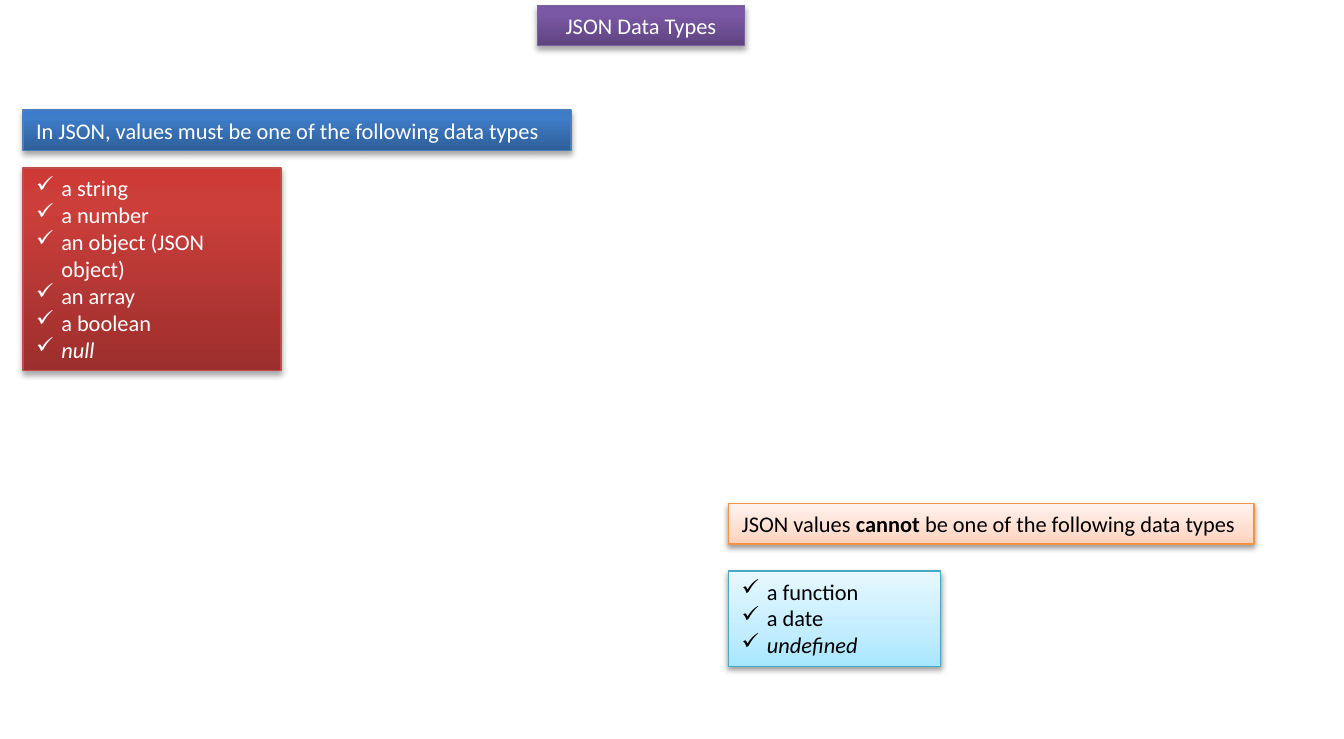
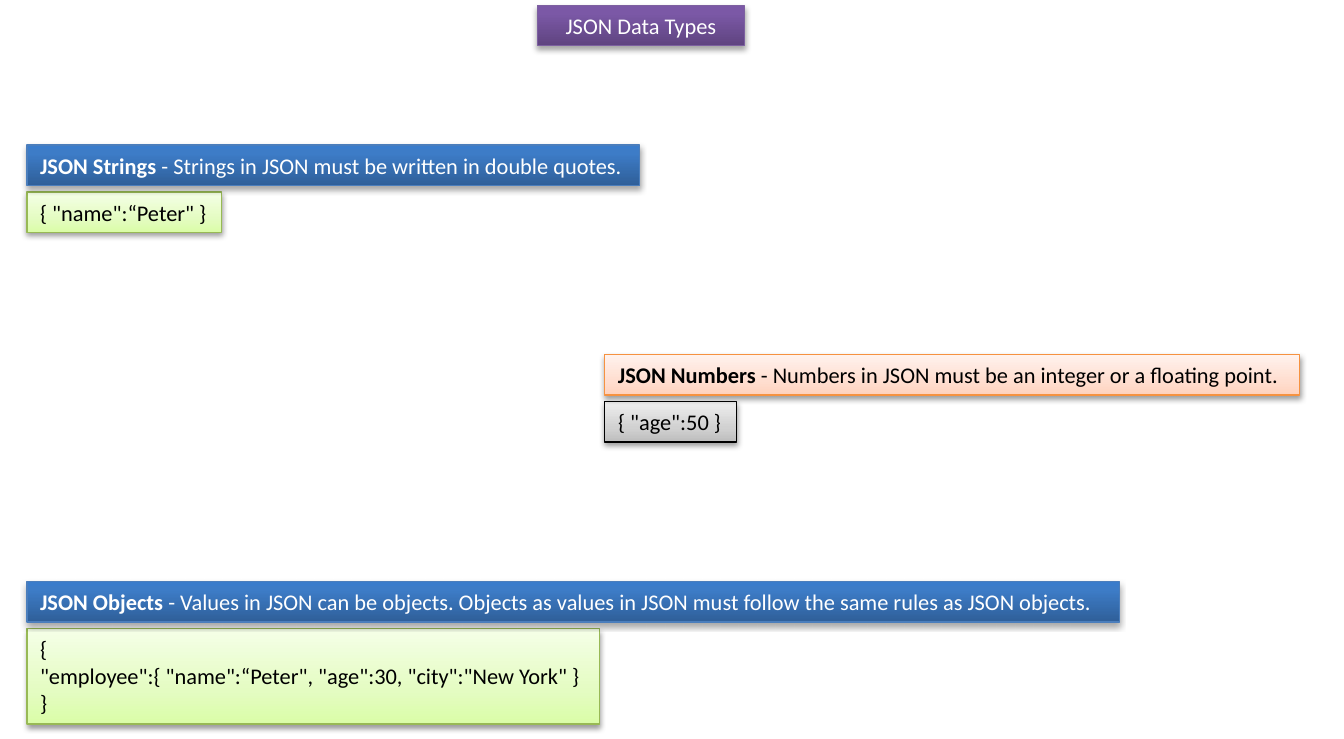
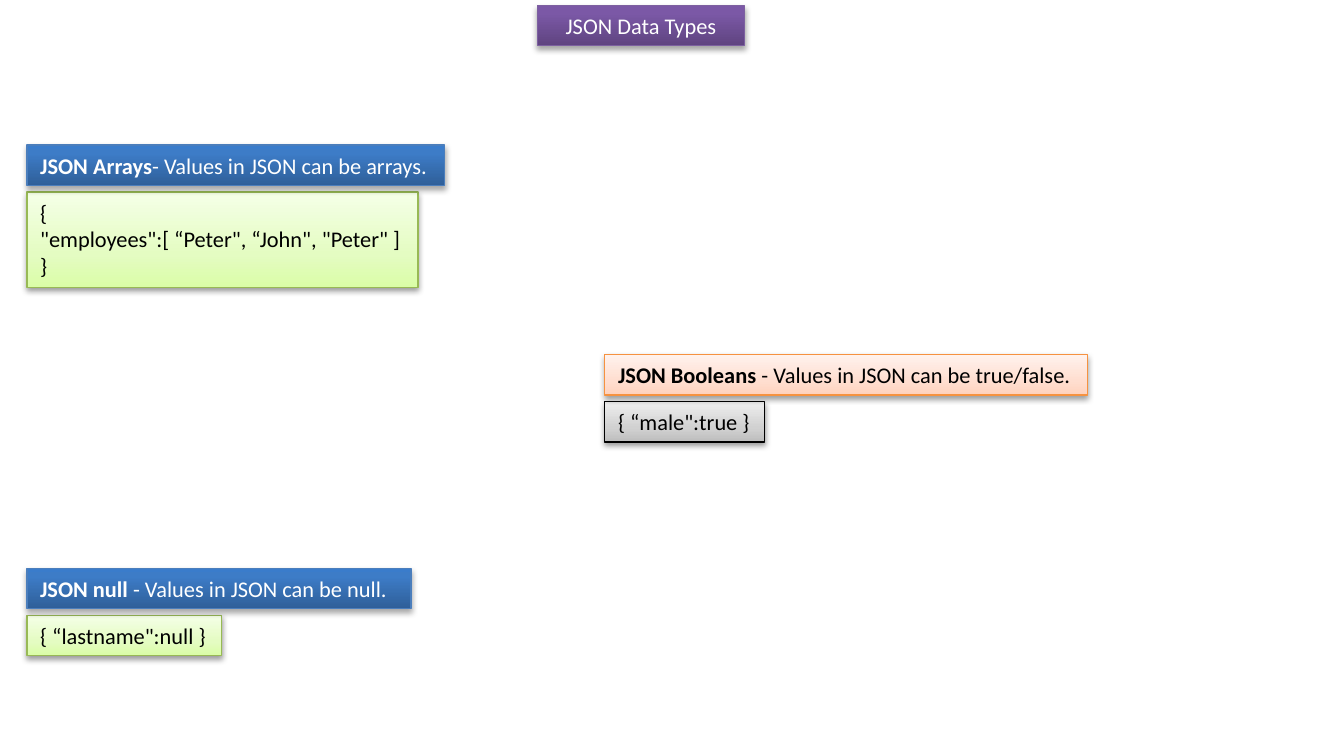
from copy import deepcopy

from lxml import etree
from pptx import Presentation
from pptx import util as u
from pptx.dml.color import RGBColor
from pptx.enum import shapes, text
from pptx.oxml import ns

PX = 9144
ROW = 30
FONT = "Calibri"
COLORS = {"white": "FFFFFF", "black": "000000"}
DARK = {"ink": "white", "middle": 0.8, "alpha": 35000, "drop": 23000}
LIGHT = {"ink": "black", "middle": 0.35, "alpha": 38000, "drop": 20000}
LOOKS = {
    "purple": {"stops": ("5F4480", "7B58A6", "7C57A8"), "line": "7D60A0", **DARK},
    "blue": {"stops": ("2F5F99", "3D7CC7", "3A7CCB"), "line": "4B7EBC", **DARK},
    "red": {"stops": ("9C2F2D", "CB3E3A", "CE3B37"), "line": "BF4C48", **DARK},
    "cyan": {"stops": ("A7E6FF", "C1EDFF", "E7F8FF"), "line": "46AAC5", **LIGHT},
    "orange": {"stops": ("FFD2BD", "FFDED0", "FFF2ED"), "line": "F69240", **LIGHT},
    "green": {"stops": ("DAFDA7", "E4FCC2", "F5FFE7"), "line": "98B955", **LIGHT},
    "gray": {"stops": ("BDBDBD", "D1D1D1", "EEEEEE"), "line": "000000", **LIGHT},
}


def rgb(code):
    return RGBColor.from_string(code)


def add_node(parent, tag, **attributes):
    return etree.SubElement(parent, ns.qn(tag), attributes)


def paint(panel, look):
    panel.line.color.rgb = rgb(look["line"])
    panel.line.width = u.Pt(0.75)
    panel.fill.gradient()
    panel.fill.gradient_angle = 90
    stop_list = panel._element.spPr.find(f".//{ns.qn('a:gsLst')}")
    stop_list.append(deepcopy(stop_list[0]))
    positions = (0, look["middle"], 1)
    for stop, code, position in zip(panel.fill.gradient_stops, look["stops"], positions):
        stop.color.rgb = rgb(code)
        stop.position = position

    panel.shadow.inherit = False
    effects = panel._element.spPr.find(ns.qn("a:effectLst"))
    shadow = add_node(effects, "a:outerShdw", blurRad="40000", dist=str(look["drop"]),
                      dir="5400000", rotWithShape="0")
    color = add_node(shadow, "a:srgbClr", val=COLORS["black"])
    add_node(color, "a:alpha", val=str(look["alpha"]))


def write_spans(para, spans):
    for words, style in spans:
        for index, line in enumerate(words.split("\n")):
            if index:
                para.add_line_break()
            span = para.add_run()
            span.text = line
            if style == "bold":
                span.font.bold = True
            if style == "italic":
                span.font.italic = True


def add_bullet(para):
    properties = para._p.get_or_add_pPr()
    properties.set("marL", "171450")
    properties.set("indent", "-171450")
    add_node(properties, "a:buChar", char="✓")


def add_panel(page, box, look_name, paragraphs, wrap=True, bullets=False,
              align=text.PP_ALIGN.LEFT):
    look = LOOKS[look_name]
    panel = page.shapes.add_shape(shapes.MSO_SHAPE.RECTANGLE, *(side * PX for side in box))
    paint(panel, look)
    frame = panel.text_frame
    frame.word_wrap = wrap
    frame.auto_size = text.MSO_AUTO_SIZE.SHAPE_TO_FIT_TEXT
    frame.vertical_anchor = text.MSO_ANCHOR.TOP
    for index, spans in enumerate(paragraphs):
        para = frame.add_paragraph() if index else frame.paragraphs[0]
        para.alignment = align
        if bullets:
            add_bullet(para)
        write_spans(para, spans)
        para.font.name = FONT
        para.font.size = u.Pt(12)
        para.font.color.rgb = rgb(COLORS[look["ink"]])


def add_page(deck):
    page = deck.slides.add_slide(deck.slide_layouts[6])
    add_panel(page, (400, 4, 154, ROW), "purple", [[("JSON Data Types", "")]],
              align=text.PP_ALIGN.CENTER)
    return page


def add_type_list(page, box, looks, heading, items, list_top, list_width):
    left, top, width, height = box
    add_panel(page, (left, top, width, ROW), looks[0], [heading])
    add_panel(page, (left, top + list_top, list_width, height - list_top), looks[1],
              [[item] for item in items], bullets=True)


def add_rule(page, box, looks, name, rule, code, code_width):
    left, top, width, height = box
    code_top = ROW + 5
    add_panel(page, (left, top + code_top, code_width, height - code_top), looks[1],
              [[(code, "")]], wrap=False)
    add_panel(page, (left, top, width, ROW), looks[0],
              [[(name, "bold"), (rule, "")]], wrap=False)


def add_overview_page(deck):
    page = add_page(deck)
    add_type_list(
        page, (17, 82, 408, 194), ("blue", "red"),
        [("In JSON, values must be one of the following data types", "")],
        [("a string", ""), ("a number", ""), ("an object (JSON object)", ""),
         ("an array", ""), ("a boolean", ""), ("null", "italic")], 43, 192)
    add_type_list(
        page, (542, 375, 391, 121), ("orange", "cyan"),
        [("JSON values ", ""), ("cannot ", "bold"),
         ("be one of the following data types", "")],
        [("a function", ""), ("a date", ""), ("undefined", "italic")], 50, 158)


def add_rules_page(deck, rules):
    page = add_page(deck)
    for rule in rules:
        add_rule(page, *rule)


def main():
    deck = Presentation()
    deck.slide_width, deck.slide_height = 1000 * PX, 550 * PX
    left_looks, right_looks = ("blue", "green"), ("orange", "gray")
    add_overview_page(deck)
    add_rules_page(deck, [
        ((20, 108, 456, 65), left_looks, "JSON Strings ",
         "- Strings in JSON must be written in double quotes.",
         '{ "name":“Peter" }', 145),
        ((450, 264, 517, 65), right_looks, "JSON Numbers",
         " - Numbers in JSON must be an integer or a floating point.",
         '{ "age":50 }', 98),
        ((20, 433, 813, 106), left_looks, "JSON Objects",
         " - Values in JSON can be objects. Objects as values in JSON"
         " must follow the same rules as JSON objects.",
         '{\n"employee":{ "name":“Peter", "age":30, "city":"New York" }\n}', 426),
    ])
    add_rules_page(deck, [
        ((20, 108, 311, 106), left_looks, "JSON Arrays",
         "- Values in JSON can be arrays.",
         '{\n"employees":[ “Peter", “John", "Peter" ]\n}', 291),
        ((450, 264, 359, 65), right_looks, "JSON Booleans",
         " - Values in JSON can be true/false.",
         '{ “male":true }', 119),
        ((20, 423, 286, 65), left_looks, "JSON null",
         " - Values in JSON can be null.",
         '{ “lastname":null }', 145),
    ])
    deck.save("out.pptx")


if __name__ == "__main__":
    main()
